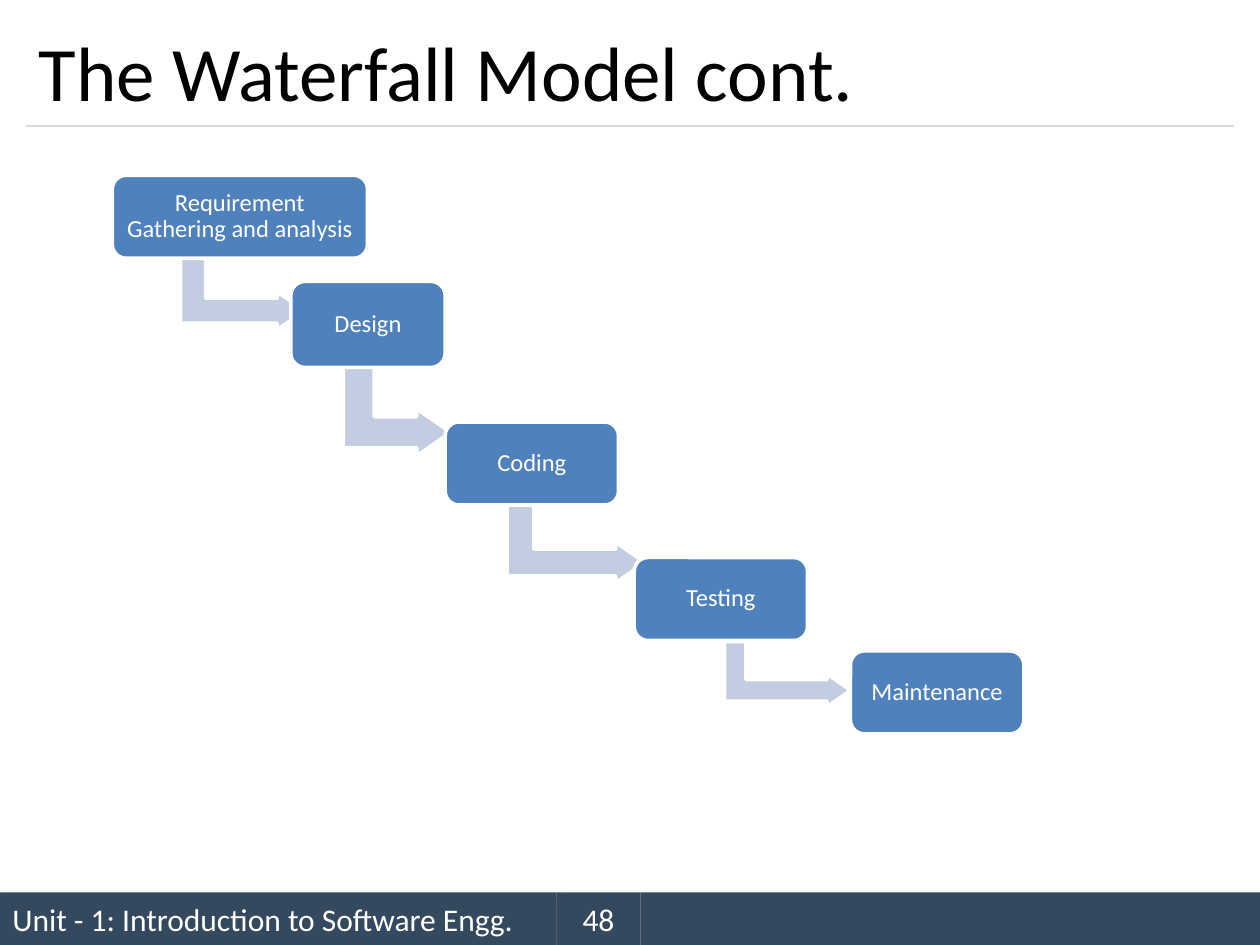
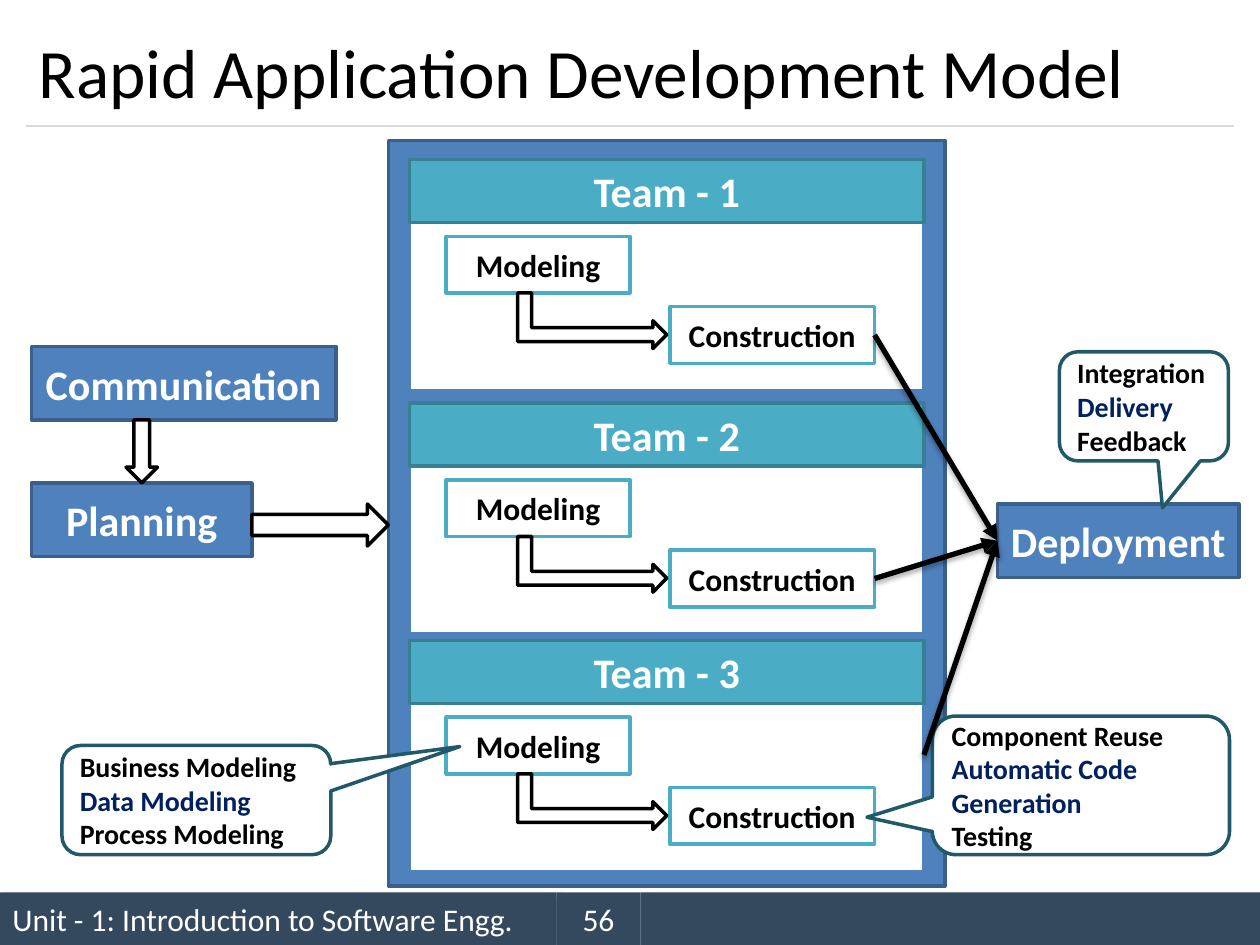
import dataclasses

import lxml.etree
import pptx
import pptx.dml.color
import pptx.enum.shapes
import pptx.enum.text
import pptx.oxml.ns
import pptx.util


@dataclasses.dataclass(frozen=True)
class Theme:
    font: str = "Calibri"
    white: str = "FFFFFF"
    black: str = "000000"
    slate: str = "34495E"
    rule: str = "D9D9D9"
    blue: str = "4F81BD"
    navy: str = "3A5F8C"
    pale: str = "C2CDE1"
    teal: str = "4BACC6"
    deep: str = "377F92"
    pine: str = "215968"
    ink: str = "002060"
    title: float = 44
    tight: float = 39.6
    head: float = 24
    body: float = 18
    note: float = 16
    step: float = 14


theme = Theme()
kinds = pptx.enum.shapes.MSO_SHAPE
left, center = pptx.enum.text.PP_ALIGN.LEFT, pptx.enum.text.PP_ALIGN.CENTER
rgb = pptx.dml.color.RGBColor.from_string
qn = pptx.oxml.ns.qn

# The slide is a grid of 120 columns and 90 rows
deck = pptx.Presentation()
deck.slide_width = pptx.util.Inches(10)
deck.slide_height = pptx.util.Inches(7.5)
unit = deck.slide_width / 120


def cast(item, shade=None):
    """Give an item one shadow (opacity %, blur pt, distance pt, angle), or none."""
    effects = lxml.etree.SubElement(item._element.spPr, qn("a:effectLst"))
    if shade:
        alpha, blur, dist, angle = shade
        outer = lxml.etree.SubElement(
            effects, qn("a:outerShdw"), blurRad=str(pptx.util.Pt(blur)),
            dist=str(pptx.util.Pt(dist)), dir=str(angle * 60000), rotWithShape="0")
        color = lxml.etree.SubElement(outer, qn("a:srgbClr"), val=theme.black)
        lxml.etree.SubElement(color, qn("a:alpha"), val=str(alpha * 1000))


def draw(slide, area, text="", kind=kinds.RECTANGLE, fill=None, line=None, size=theme.body,
         colors=(theme.white,), bold=False, align=center, inset=None, lead=None,
         adjust=(), turn=False, shade=None):
    """Draw a shape on a grid area; text holds one paragraph or a list of them."""
    x, y, w, h = area
    if turn:  # the frame lies across the area, then turns a quarter
        x, y, w, h = x + (w - h) / 2, y + (h - w) / 2, h, w
    item = slide.shapes.add_shape(kind, *(round(n * unit) for n in (x, y, w, h)))
    item.rotation = 90 if turn else 0
    for i, value in enumerate(adjust):
        item.adjustments[i] = value
    if fill:
        item.fill.solid()
        item.fill.fore_color.rgb = rgb(fill)
    else:
        item.fill.background()
    if line:
        item.line.color.rgb = rgb(line)
        item.line.width = pptx.util.Pt(2)
    else:
        item.line.fill.background()
    cast(item, shade)
    frame = item.text_frame
    frame.word_wrap = True
    frame.vertical_anchor = pptx.enum.text.MSO_ANCHOR.MIDDLE
    if inset:
        frame.margin_left = frame.margin_right = pptx.util.Inches(inset)
        frame.margin_top = frame.margin_bottom = pptx.util.Inches(inset)
    parts = [text] if isinstance(text, str) else text
    for i, part in enumerate(parts if text else []):
        para = frame.add_paragraph() if i else frame.paragraphs[0]
        para.text = part
        para.alignment = align
        para.line_spacing = lead
        for run in para.runs:
            run.font.name = theme.font
            run.font.size = pptx.util.Pt(size)
            run.font.bold = bold
            run.font.color.rgb = rgb(colors[i % len(colors)])


# Shared title, rule and footer
pages = []
straight = pptx.enum.shapes.MSO_CONNECTOR.STRAIGHT
soft = (40, 4, 3, 45)
for title, size, number in (("The Waterfall Model cont.", theme.title, "48"),
                            ("Rapid Application Development Model", theme.tight, "56")):
    page = deck.slides.add_slide(deck.slide_layouts[6])
    pages.append(page)
    draw(page, (0, 85, 53, 5), "Unit - 1: Introduction to Software Engg.",
         fill=theme.slate, align=left, shade=soft)
    rule = page.shapes.add_connector(straight, *(round(n * unit) for n in (2.5, 12, 117.5, 12)))
    rule.line.color.rgb = rgb(theme.rule)
    rule.line.width = pptx.util.Pt(0.75)
    cast(rule)
    draw(page, (61, 85, 59, 5), fill=theme.slate, shade=soft)
    draw(page, (53, 85, 8, 5), number, fill=theme.slate)
    draw(page, (2.5, 1.5, 115, 10.5), title, size=size, colors=(theme.black,), align=left)
fall, rapid = pages

# Waterfall: each step with the arrow that leaves it
steps = (
    ("Requirement\nGathering and analysis", (10.7, 16.7, 24.3, 7.9), (17.2, 24.2, 11.8, 7.2)),
    ("Design", (27.7, 26.8, 14.7, 8.2), (32.7, 34.5, 10.2, 8.9)),
    ("Coding", (42.4, 40.2, 16.5, 7.9), (48.3, 47.8, 13.1, 7.7)),
    ("Testing", (60.4, 53.1, 16.5, 7.9), (69, 61.1, 12, 6.2)),
    ("Maintenance", (81, 62, 16.5, 7.9), None),
)
for name, area, bend in steps:
    if bend:
        draw(fall, bend, kind=kinds.BENT_UP_ARROW, fill=theme.pale, line=theme.white,
             adjust=(0.33, 0.25, 0.36), turn=True)
    draw(fall, area, name, kind=kinds.ROUNDED_RECTANGLE, fill=theme.blue, line=theme.white,
         size=theme.step, inset=0.06, lead=0.9)

# Rapid model: outer phases and the frame for the teams
for name, area in (("Communication", (3, 33, 29, 7)), ("Planning", (3, 46, 21, 7)),
                   ("Deployment", (95, 48, 23, 7)), ("", (37, 13.4, 53, 71))):
    draw(rapid, area, name, fill=theme.blue, line=theme.navy, size=theme.head, bold=True)

# Three teams of the same make
for i, top in enumerate((15.2, 38.4, 61), 1):
    draw(rapid, (39, top - 0.2, 49, 22.2), fill=theme.white, line=theme.blue)
    draw(rapid, (39, top, 49, 6), f"Team - {i}", fill=theme.teal, line=theme.deep,
         size=theme.head, bold=True)
    for name, area in (("Modeling", (42.5, top + 7.3, 17.5, 5.4)),
                       ("Construction", (63.8, top + 14, 19.5, 5.4))):
        draw(rapid, area, name, fill=theme.white, line=theme.teal,
             colors=(theme.black,), bold=True)
    draw(rapid, (49.3, top + 12.7, 14.2, 5.3), kind=kinds.BENT_UP_ARROW,
         fill=theme.white, line=theme.black, turn=True)

# Block arrows between the phases
for kind, area in ((kinds.DOWN_ARROW, (12, 40, 3, 6)), (kinds.RIGHT_ARROW, (24, 48, 13, 4))):
    draw(rapid, area, kind=kind, fill=theme.white, line=theme.black)

# Callouts
notes = (
    (("Business Modeling", "Data Modeling", "Process Modeling"),
     (5.9, 71, 25.6, 10.4), (0.98, -0.49, 0.17)),
    (("Component Reuse", "Automatic Code Generation", "Testing"),
     (88.8, 68.2, 28.3, 13.2), (-0.72, 0.23, 0.17)),
    (("Integration", "Delivery", "Feedback"),
     (100.9, 33.5, 16.1, 10.4), (0.11, 0.93, 0.17)),
)
for lines, area, adjust in notes:
    draw(rapid, area, lines, kind=kinds.ROUNDED_RECTANGULAR_CALLOUT, fill=theme.white,
         line=theme.pine, size=theme.note, colors=(theme.black, theme.ink), bold=True,
         align=left, adjust=adjust)

# Arrows from the teams to deployment
for x, y in ((83.3, 31.9), (83.3, 55.1), (88, 71.9)):
    link = rapid.shapes.add_connector(straight, *(round(n * unit) for n in (x, y, 95, 51.5)))
    link.line.color.rgb = rgb(theme.black)
    link.line.width = pptx.util.Pt(3)
    lxml.etree.SubElement(link.line._get_or_add_ln(), qn("a:tailEnd"), type="triangle")
    cast(link, (35, 3.1, 1.8, 90))

deck.save("out.pptx")
